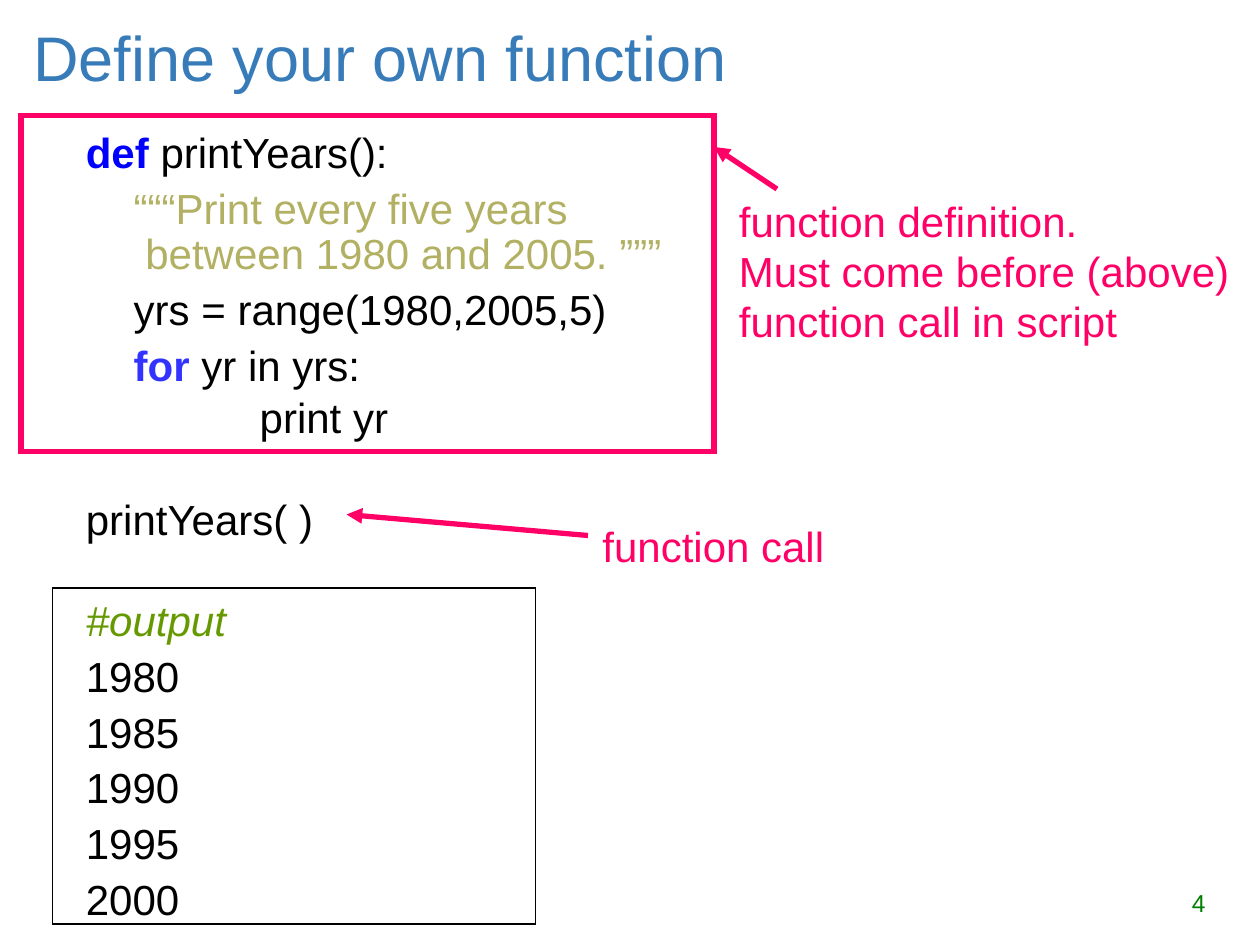
from lxml import etree
from pptx import Presentation, util as u
from pptx.dml.color import RGBColor
from pptx.enum import shapes, text
from pptx.oxml.ns import qn

HUE = {"title": "387BB9", "pink": "FF0066", "def": "0000FF", "for": "3333FF",
       "doc": "B2B062", "out": "669900", "num": "008000", "ink": "000000", "white": "FFFFFF"}
COLS = 120

deck = Presentation()
deck.slide_width, deck.slide_height = u.Inches(10), u.Inches(7.5)
page = deck.slides.add_slide(deck.slide_layouts[6])
cell = deck.slide_width // COLS


def grid(*spots):
    return [u.Emu(round(s * cell)) for s in spots]


def write(area, lines, size, wrap=True, look={}, anchor=text.MSO_ANCHOR.TOP):
    frame = page.shapes.add_textbox(*grid(*area)).text_frame
    for key, val in {"word_wrap": wrap, "vertical_anchor": anchor}.items():
        setattr(frame, key, val)
    for n, (runs, left, gap) in enumerate(lines):
        para = frame.paragraphs[0] if n == 0 else frame.add_paragraph()
        para._p.get_or_add_pPr().set("marL", str(u.Inches(left)))
        for key, val in {**look, "space_before": u.Pt(gap)}.items():
            setattr(para, key, val)
        for words, hue, *style in runs:
            for i, part in enumerate(words.split("\n")):
                if i:
                    para.add_line_break()
                run = para.add_run()
                run.text = part
                form = {"name": "Arial", "size": u.Pt(size),
                        "bold": "bold" in style, "italic": "italic" in style}
                for key, val in form.items():
                    setattr(run.font, key, val)
                run.font.color.rgb = RGBColor.from_string(HUE[hue])


write((86, 84, 30, 4.2), [([("4", "num")], 0, 0)], 14, look={"alignment": text.PP_ALIGN.RIGHT})
write((2, 2.4, 105, 6), [([("Define your own function", "title")], 0, 0)], 36,
      anchor=text.MSO_ANCHOR.MIDDLE)

boxes = [((5, 56, 46, 32), "white", "ink", 0.75), ((2, 11, 66, 32), None, "pink", 3)]
for area, fill, edge, width in boxes:
    box = page.shapes.add_shape(shapes.MSO_SHAPE.RECTANGLE, *grid(*area))
    box.shadow.inherit = False
    if fill:
        box.fill.solid()
        box.fill.fore_color.rgb = RGBColor.from_string(HUE[fill])
    else:
        box.fill.background()
    box.line.color.rgb = RGBColor.from_string(HUE[edge])
    box.line.width = u.Pt(width)
    etree.SubElement(box.line._get_or_add_ln(), qn("a:miter"), lim="800000")

code = [
    ([("def ", "def", "bold"), ("printYears():", "ink")], 0, 0),
    ([("“““Print every five years\n between 1980 and 2005. ”””", "doc")], 0.38, 6),
    ([("yrs = range(1980,2005,5)", "ink")], 0.38, 6),
    ([("for", "for", "bold"), (" yr in yrs:", "ink")], 0.38, 6),
    ([("print yr", "ink")], 1.38, 4),
    ([("printYears( )", "ink")], 0, 32),
    ([("#output", "out", "italic")], 0, 32),
]
code += [([(str(year), "ink")], 0, 6) for year in range(1980, 2005, 5)]
write((7, 12, 108, 78), code, 24, look={"line_spacing": 0.9})

for ends in [(56, 51, 33, 49), (74, 18, 68, 14)]:
    arrow = page.shapes.add_connector(shapes.MSO_CONNECTOR.STRAIGHT, *grid(*ends))
    arrow.line.color.rgb = RGBColor.from_string(HUE["pink"])
    arrow.line.width = u.Pt(3)
    etree.SubElement(arrow.line._get_or_add_ln(), qn("a:tailEnd"), type="triangle")
    etree.SubElement(arrow._element.spPr, qn("a:effectLst"))

notes = [
    ((69.2, 18, 49.1, 20.4), ["function definition.", "Must come before (above)",
                              "function call in script"]),
    ((56.2, 49, 23.5, 6), ["function call"]),
]
for area, lines in notes:
    write(area, [([(line, "pink")], 0, 0) for line in lines], 24, False)

deck.save("out.pptx")
